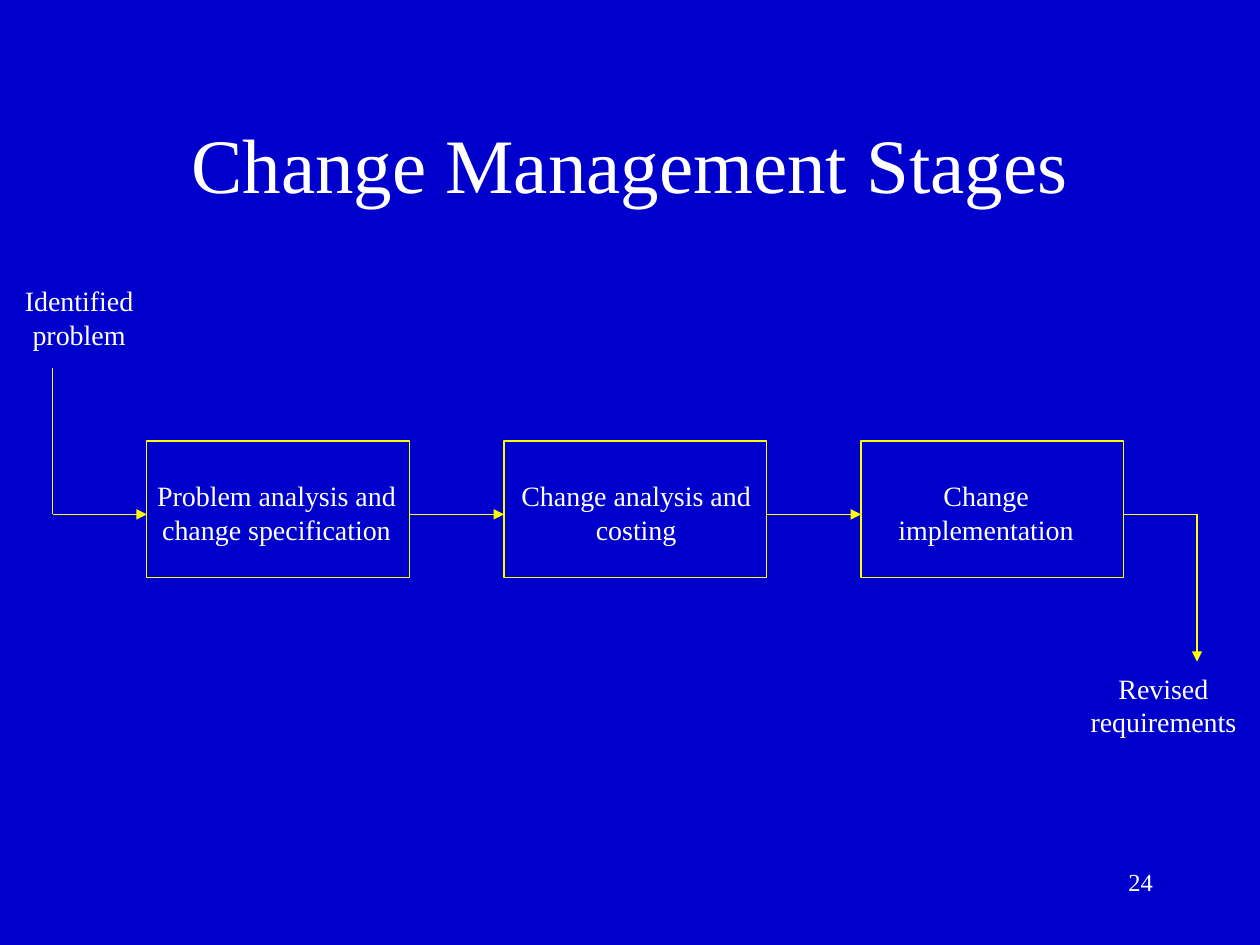
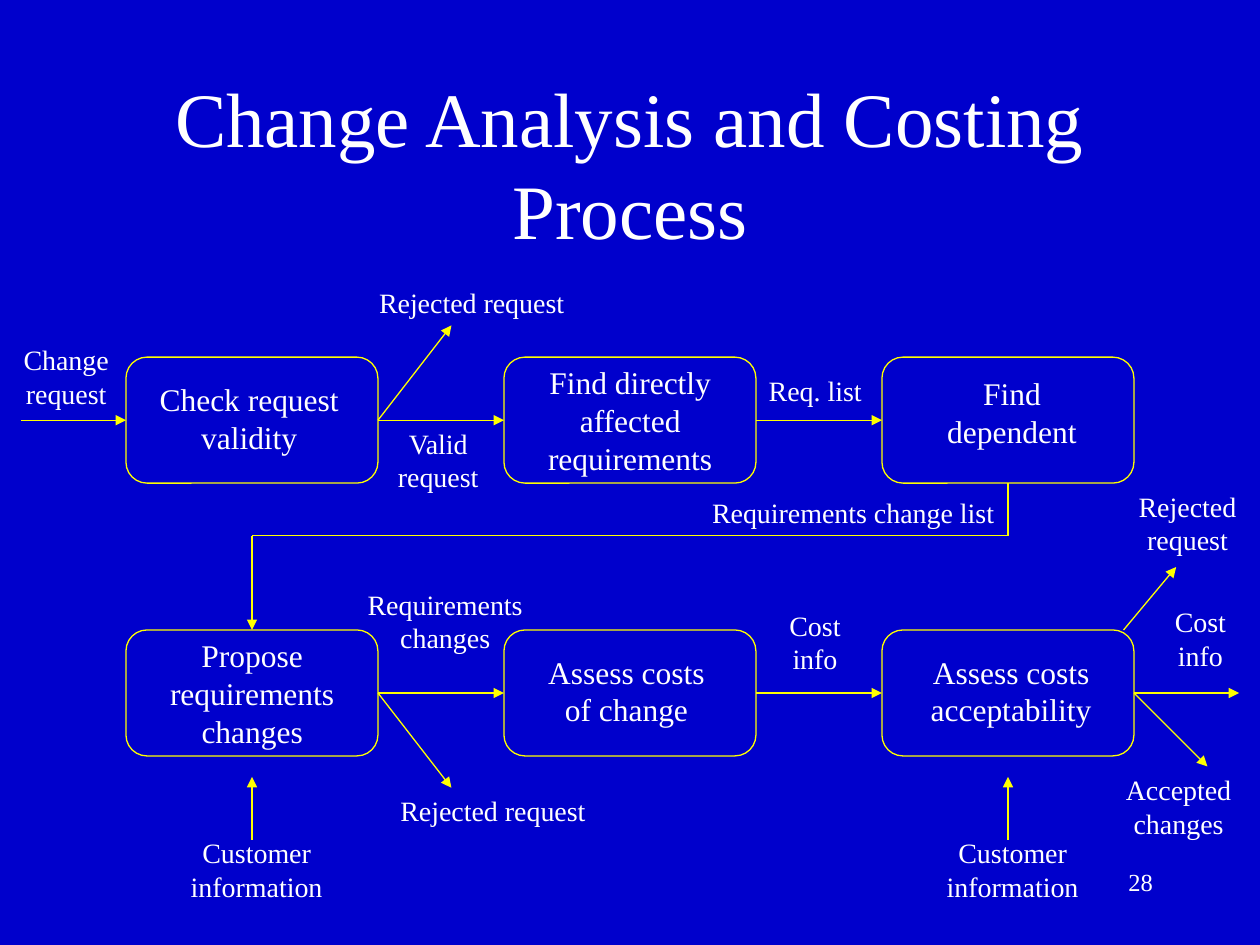
from itertools import pairwise

from lxml import etree
from pptx import Presentation
from pptx.dml.color import RGBColor
from pptx.enum.shapes import MSO_CONNECTOR, MSO_SHAPE
from pptx.enum.text import MSO_ANCHOR, MSO_AUTO_SIZE, PP_ALIGN
from pptx.oxml.ns import qn
from pptx.util import Cm, Pt

RECTANGLE = MSO_SHAPE.RECTANGLE
ROUNDED = MSO_SHAPE.ROUNDED_RECTANGLE
STRAIGHT = MSO_CONNECTOR.STRAIGHT
CENTER, RIGHT = PP_ALIGN.CENTER, PP_ALIGN.RIGHT
MIDDLE, TOP = MSO_ANCHOR.MIDDLE, MSO_ANCHOR.TOP
NO_AUTOFIT, GROW = MSO_AUTO_SIZE.NONE, MSO_AUTO_SIZE.SHAPE_TO_FIT_TEXT

FONT = "Times New Roman"
BACKGROUND, INK, ACCENT = "0000CC", "FFFFFF", "FFFF00"
TITLE_SIZE, STEP_SIZE, FLOW_SIZE, NUMBER_SIZE = 44, 18, 16, 14
LINE_WIDTH = 0.75
LABEL_INSET = 0.15
TITLE_ONLY = 5


def color(hex_value):
    return RGBColor.from_string(hex_value)


def write(frame, text, size, align=CENTER):
    for index, line in enumerate(text.split("\n")):
        paragraph = frame.paragraphs[0] if index == 0 else frame.add_paragraph()
        paragraph.alignment = align
        run = paragraph.add_run()
        run.text = line
        run.font.name = FONT
        run.font.size = Pt(size)
        run.font.color.rgb = color(INK)


def add_titled_slide(prs, heading, number):
    slide = prs.slides.add_slide(prs.slide_layouts[TITLE_ONLY])
    title = slide.shapes.title
    title.left, title.top = Cm(1.9), Cm(1.69)
    title.width, title.height = Cm(21.6), Cm(3.18)
    title.text_frame.auto_size = NO_AUTOFIT
    title.text_frame.vertical_anchor = MIDDLE
    write(title.text_frame, heading, TITLE_SIZE)

    footer = slide.shapes.add_textbox(Cm(18.2), Cm(17.36), Cm(5.29), Cm(1.27))
    footer.text_frame.word_wrap = True
    write(footer.text_frame, str(number), NUMBER_SIZE, RIGHT)
    return slide


def add_label(slide, text, left, top, width, size=FLOW_SIZE):
    line_count = text.count("\n") + 1
    height = Cm(0.25) + Pt(1.2 * size * line_count)
    label = slide.shapes.add_textbox(Cm(left), Cm(top), Cm(width), height)
    frame = label.text_frame
    frame.margin_left = frame.margin_right = Cm(LABEL_INSET)
    frame.word_wrap = False
    frame.auto_size = GROW
    frame.vertical_anchor = TOP
    write(frame, text, size)


def add_step(slide, outline, left, top, width, height):
    step = slide.shapes.add_shape(outline, Cm(left), Cm(top), Cm(width), Cm(height))
    step.shadow.inherit = False
    step.fill.background()
    step.line.color.rgb = color(ACCENT)
    step.line.width = Pt(LINE_WIDTH)


def add_flow(slide, *points):
    for start, end in pairwise(points):
        segment = slide.shapes.add_connector(STRAIGHT, *map(Cm, start + end))
        segment.line.color.rgb = color(ACCENT)
        segment.line.width = Pt(LINE_WIDTH)
        properties = segment.line._get_or_add_ln().getparent()
        etree.SubElement(properties, qn("a:effectLst"))
    etree.SubElement(segment.line._get_or_add_ln(), qn("a:tailEnd"), type="triangle")


def build_stages(prs):
    slide = add_titled_slide(prs, "Change Management Stages", 24)
    width, height, top, flow_y = 5.29, 2.75, 8.89, 10.37
    lefts = [2.96 + 7.2 * column for column in range(3)]
    for left in lefts:
        add_step(slide, RECTANGLE, left, top, width, height)
    for left, following in pairwise(lefts):
        add_flow(slide, (left + width, flow_y), (following, flow_y))
    add_flow(slide, (1.06, 7.41), (1.06, flow_y), (lefts[0], flow_y))
    add_flow(slide, (lefts[-1] + width, flow_y), (24.13, flow_y), (24.13, 13.34))

    for text, left, label_top, label_width in (
        ("Problem analysis and\nchange specification", 2.92, 9.53, 5.31),
        ("Change analysis and\ncosting", 10.26, 9.53, 5.13),
        ("Change\nimplementation", 17.86, 9.53, 4.04),
        ("Identified\nproblem", 0.25, 5.59, 2.69),
        ("Revised\nrequirements", 21.74, 13.41, 3.43),
    ):
        add_label(slide, text, left, label_top, label_width)


def build_costing(prs):
    slide = add_titled_slide(prs, "Change Analysis and Costing Process", 28)
    width, height = 5.08, 2.54
    lefts = [2.54 + 7.62 * column for column in range(3)]
    rights = [left + width for left in lefts]
    first_x, last_x = lefts[0] + width / 2, lefts[-1] + width / 2
    upper, lower = 7.2, 12.7
    upper_y, lower_y = upper + height / 2, lower + height / 2

    for top in (upper, lower):
        flow_y = top + height / 2
        for left in lefts:
            add_step(slide, ROUNDED, left, top, width, height)
        for right, following in zip(rights, lefts[1:]):
            add_flow(slide, (right, flow_y), (following, flow_y))

    add_flow(slide, (0.42, upper_y), (lefts[0], upper_y))
    add_flow(slide, (rights[-1], lower_y), (24.98, lower_y))
    add_flow(slide, (rights[0], upper_y), (9.1, 6.56))
    add_flow(slide, (rights[0], lower_y), (9.1, 15.88))
    add_flow(slide, (rights[-1], lower_y), (24.34, 15.45))
    add_flow(slide, (22.65, lower), (23.71, 11.43))
    add_flow(slide, (last_x, upper + height), (last_x, 10.8),
             (first_x, 10.8), (first_x, lower))
    for customer_x in (first_x, last_x):
        add_flow(slide, (customer_x, 16.93), (customer_x, 15.66))
        add_label(slide, "Customer\ninformation", customer_x - 1.48, 16.72, 3.15)

    for text, left, top, label_width in (
        ("Check request\nvalidity", 2.97, 7.54, 4.11),
        ("Find directly\naffected\nrequirements", 10.8, 7.2, 3.81),
        ("Find\ndependent", 18.85, 7.42, 3.1),
        ("Propose\nrequirements\nchanges", 3.18, 12.7, 3.81),
        ("Assess costs\nof change", 10.8, 13.03, 3.66),
        ("Assess costs\nacceptability", 18.52, 13.03, 3.73),
    ):
        add_label(slide, text, left, top, label_width, STEP_SIZE)

    for text, left, top, label_width in (
        ("Requirements change list", 14.1, 9.86, 6.2),
        ("Change\nrequest", 0.23, 6.78, 2.21),
        ("Rejected request", 7.39, 5.64, 4.24),
        ("Valid\nrequest", 7.77, 8.47, 2.13),
        ("Req. list", 15.24, 7.41, 2.39),
        ("Rejected request", 7.82, 15.88, 4.24),
        ("Rejected\nrequest", 22.71, 9.74, 2.46),
        ("Accepted\nchanges", 22.45, 15.45, 2.62),
        ("Cost\ninfo", 23.44, 12.07, 1.52),
        ("Cost\ninfo", 15.67, 12.14, 1.52),
        ("Requirements\nchanges", 7.16, 11.71, 3.63),
    ):
        add_label(slide, text, left, top, label_width)


def main():
    prs = Presentation()
    prs.slide_width, prs.slide_height = Cm(25.4), Cm(19.05)
    backdrop = prs.slide_master.background.fill
    backdrop.solid()
    backdrop.fore_color.rgb = color(BACKGROUND)
    build_stages(prs)
    build_costing(prs)
    prs.save("out.pptx")


if __name__ == "__main__":
    main()
